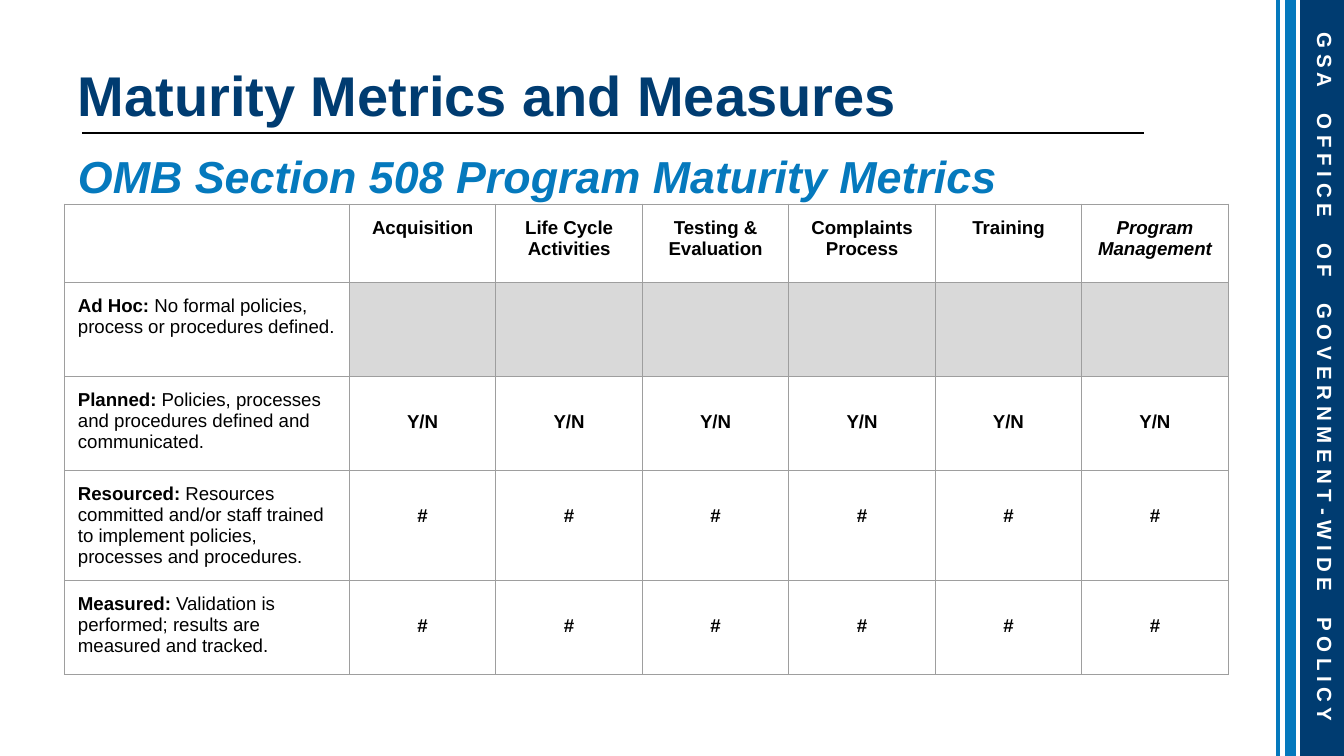
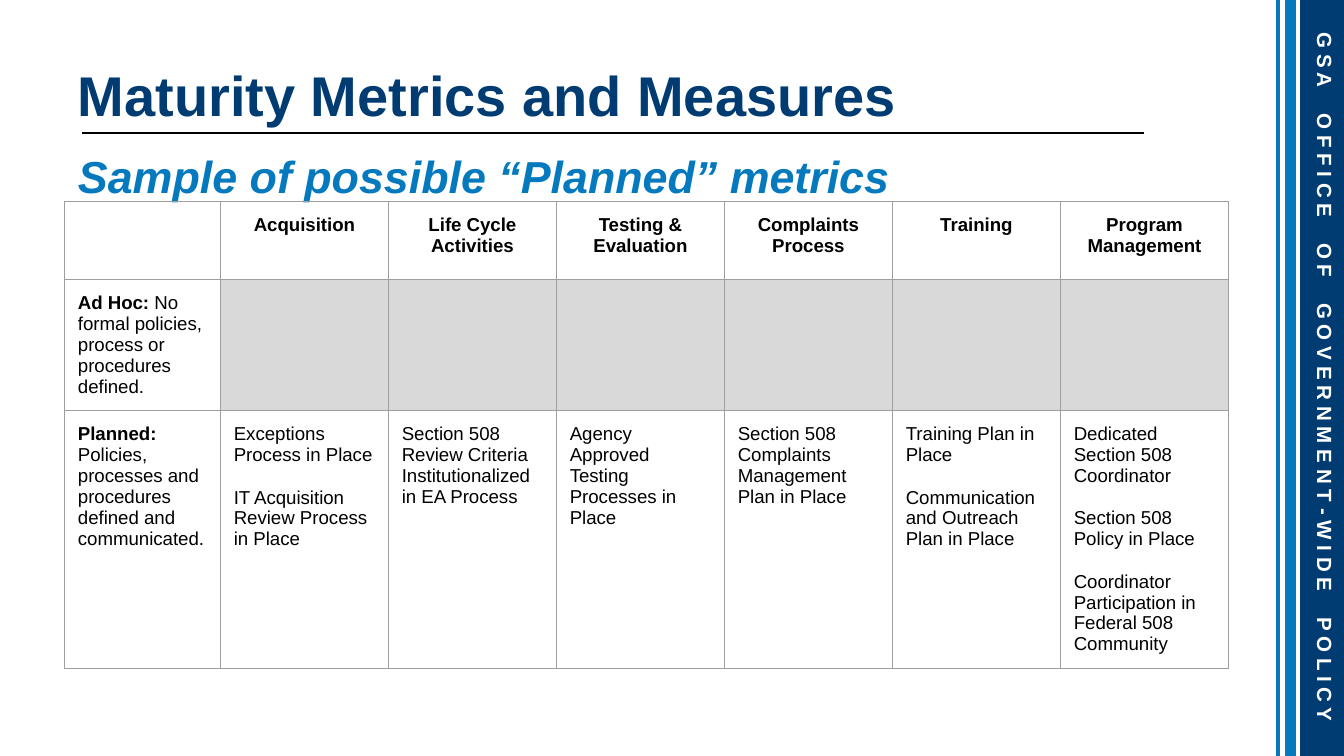
from lxml import etree
from pptx import Presentation
from pptx.dml.color import RGBColor
from pptx.enum.shapes import MSO_CONNECTOR, MSO_SHAPE
from pptx.enum.text import MSO_ANCHOR, MSO_AUTO_SIZE, PP_ALIGN
from pptx.oxml.ns import qn
from pptx.util import Inches, Pt

RECTANGLE = MSO_SHAPE.RECTANGLE
STRAIGHT = MSO_CONNECTOR.STRAIGHT
TOP, MIDDLE, BOTTOM = MSO_ANCHOR.TOP, MSO_ANCHOR.MIDDLE, MSO_ANCHOR.BOTTOM
LEFT, CENTER = PP_ALIGN.LEFT, PP_ALIGN.CENTER
FIXED_SIZE = MSO_AUTO_SIZE.NONE

NAVY = RGBColor(0x00, 0x3C, 0x71)
BLUE = RGBColor(0x05, 0x79, 0xBD)
BLACK = RGBColor(0x00, 0x00, 0x00)
WHITE = RGBColor(0xFF, 0xFF, 0xFF)
SHADE = RGBColor(0xD9, 0xD9, 0xD9)
GRID = RGBColor(0x9E, 0x9E, 0x9E)

FONT = "Arial"
SLIDE_WIDTH = Inches(10)
SLIDE_HEIGHT = SLIDE_WIDTH * 9 // 16
EDGES = ("left", "right", "top", "bottom")
MARGIN = 0.1
TABLE_LEFT, TABLE_WIDTH = 0.48, 8.66
HEADER_HEIGHT = 0.58
LINE_HEIGHT = 0.16
WORD_TRACKING = 1070

TITLE = "Maturity Metrics and Measures"
BAND_WORDS = ["G S A", "O F F I C E", "O F",
              "G O V E R N M E N T - W I D E", "P O L I C Y"]
AREAS = ["Acquisition", "Life Cycle Activities", "Testing & Evaluation",
         "Complaints Process", "Training", "Program Management"]
STAGES = {
    "Ad Hoc:": "No formal policies, process or procedures defined.",
    "Planned:": "Policies, processes and procedures defined and communicated.",
    "Resourced:": "Resources committed and/or staff trained to implement "
                  "policies, processes and procedures.",
    "Measured:": "Validation is performed; results are measured and tracked.",
}
PLANNED_METRICS = [
    ["Exceptions Process in Place", "IT Acquisition Review Process in Place"],
    ["Section 508 Review Criteria Institutionalized in EA Process"],
    ["Agency Approved Testing Processes in Place"],
    ["Section 508 Complaints Management Plan in Place"],
    ["Training Plan in Place", "Communication and Outreach Plan in Place"],
    ["Dedicated Section 508 Coordinator", "Section 508 Policy in Place",
     "Coordinator Participation in Federal 508 Community"],
]


def apply_format(target, values):
    for name, value in values.items():
        setattr(target, name, value)


def add_span(para, text, size, color, **styles):
    span = para.add_run()
    span.text = text
    apply_format(span.font, {"name": FONT, "size": Pt(size), **styles})
    span.font.color.rgb = color
    return span


def set_margins(target):
    apply_format(target, {f"margin_{edge}": Inches(MARGIN) for edge in EDGES})


def set_frame(frame, anchor):
    set_margins(frame)
    apply_format(frame, {"word_wrap": True, "auto_size": FIXED_SIZE,
                         "vertical_anchor": anchor})


def place(shape, left, top, width, height):
    apply_format(shape, {"left": Inches(left), "top": Inches(top),
                         "width": Inches(width), "height": Inches(height)})


def add_line(page, start, end, color, weight):
    line = page.shapes.add_connector(STRAIGHT, *map(Inches, start + end))
    line.line.color.rgb = color
    line.line.width = Pt(weight)
    etree.SubElement(line._element.spPr, qn("a:effectLst"))


def add_band(page):
    bar = page.shapes.add_shape(RECTANGLE, Inches(9.68), Inches(-0.01),
                                Inches(0.34), Inches(5.65))
    bar.shadow.inherit = False
    bar.fill.solid()
    bar.fill.fore_color.rgb = NAVY
    bar.line.color.rgb = NAVY
    bar.line.width = Pt(0.75)
    for x, weight in ((9.6, 6), (9.51, 2.25)):
        add_line(page, (x, 0), (x, 5.63), BLUE, weight)

    box = page.shapes.add_textbox(Inches(7.05), Inches(2.49),
                                  Inches(5.62), Inches(0.63))
    box.rotation = 90
    set_frame(box.text_frame, MIDDLE)
    para = box.text_frame.paragraphs[0]
    para.alignment = CENTER
    for index, word in enumerate(BAND_WORDS):
        if index:
            gap = add_span(para, " ", 11, WHITE, bold=True)
            gap.font._element.set("spc", str(WORD_TRACKING))
        add_span(para, word, 11, WHITE, bold=True)


def add_heading(page, subtitle):
    title, sub = page.shapes.title, page.placeholders[1]
    place(title, 0.48, 0.09, 8.79, 0.96)
    place(sub, 0.48, 0.95, 8.79, 0.43)
    set_frame(title.text_frame, BOTTOM)
    set_frame(sub.text_frame, TOP)
    para = title.text_frame.paragraphs[0]
    para.alignment = LEFT
    add_span(para, TITLE, 30, NAVY, bold=True)
    para = sub.text_frame.paragraphs[0]
    apply_format(para, {"alignment": LEFT, "line_spacing": 1.15,
                        "space_before": Pt(0), "space_after": Pt(16)})
    add_span(para, subtitle, 24, BLUE, bold=True, italic=True)
    add_line(page, (0.61, 0.99), (8.51, 0.99), BLACK, 1.5)


def add_page(deck, subtitle):
    page = deck.slides.add_slide(deck.slide_layouts[0])
    add_band(page)
    add_heading(page, subtitle)
    return page


def style_cell(cell, fill=None):
    properties = cell._tc.get_or_add_tcPr()
    for side in ("lnL", "lnR", "lnT", "lnB"):
        border = etree.SubElement(properties, qn(f"a:{side}"), w=str(Pt(0.75)))
        solid = etree.SubElement(border, qn("a:solidFill"))
        etree.SubElement(solid, qn("a:srgbClr"), val=str(GRID))
    if fill is None:
        cell.fill.background()
    else:
        cell.fill.solid()
        cell.fill.fore_color.rgb = fill
    set_margins(cell)


def write_cell(cell, texts, alignment=LEFT, **styles):
    frame = cell.text_frame
    for index, text in enumerate(texts):
        para = frame.add_paragraph() if index else frame.paragraphs[0]
        para.alignment = alignment
        if index:
            para.space_before = Pt(11.5)
        add_span(para, text, 10, BLACK, **{"bold": False, **styles})


def write_stage(cell, stage):
    style_cell(cell)
    para = cell.text_frame.paragraphs[0]
    add_span(para, stage, 10, BLACK, bold=True)
    add_span(para, f" {STAGES[stage]}", 10, BLACK, bold=False)


def write_mark(cell, mark):
    style_cell(cell)
    cell.margin_top = Inches(MARGIN + LINE_HEIGHT)
    write_cell(cell, [mark], CENTER, bold=True)


def write_metrics(cell, metrics):
    style_cell(cell, WHITE)
    write_cell(cell, metrics)


def shade_cell(cell, _):
    style_cell(cell, SHADE)


def add_matrix(page, top, stage_width, rows, italic_areas=()):
    heights = [HEADER_HEIGHT] + [height for _, height, _, _ in rows]
    table = page.shapes.add_table(
        len(heights), len(AREAS) + 1, Inches(TABLE_LEFT), Inches(top),
        Inches(TABLE_WIDTH), Inches(sum(heights))).table
    apply_format(table, {"first_row": False, "horz_banding": False})
    area_width = (TABLE_WIDTH - stage_width) / len(AREAS)
    for column, width in zip(table.columns,
                             [stage_width] + [area_width] * len(AREAS)):
        column.width = Inches(width)
    for row, height in zip(table.rows, heights):
        row.height = Inches(height)

    style_cell(table.cell(0, 0))
    for column, area in enumerate(AREAS, 1):
        style_cell(table.cell(0, column))
        write_cell(table.cell(0, column), [area], CENTER, bold=True,
                   italic=area in italic_areas)
    for number, (stage, _, write, contents) in enumerate(rows, 1):
        write_stage(table.cell(number, 0), stage)
        for column, content in enumerate(contents, 1):
            write(table.cell(number, column), content)


def main():
    deck = Presentation()
    deck.slide_width, deck.slide_height = SLIDE_WIDTH, SLIDE_HEIGHT
    count = len(AREAS)

    page = add_page(deck, "OMB Section 508 Program Maturity Metrics")
    add_matrix(page, 1.52, 2.12, [
        ("Ad Hoc:", 0.7, shade_cell, [None] * count),
        ("Planned:", 0.7, write_mark, ["Y/N"] * count),
        ("Resourced:", 0.82, write_mark, ["#"] * count),
        ("Measured:", 0.7, write_mark, ["#"] * count),
    ], italic_areas=["Program Management"])

    page = add_page(deck, "Sample of possible “Planned” metrics")
    add_matrix(page, 1.5, 1.16, [
        ("Ad Hoc:", 0.97, shade_cell, [None] * count),
        ("Planned:", 1.91, write_metrics, PLANNED_METRICS),
    ])

    deck.save("out.pptx")


if __name__ == "__main__":
    main()
